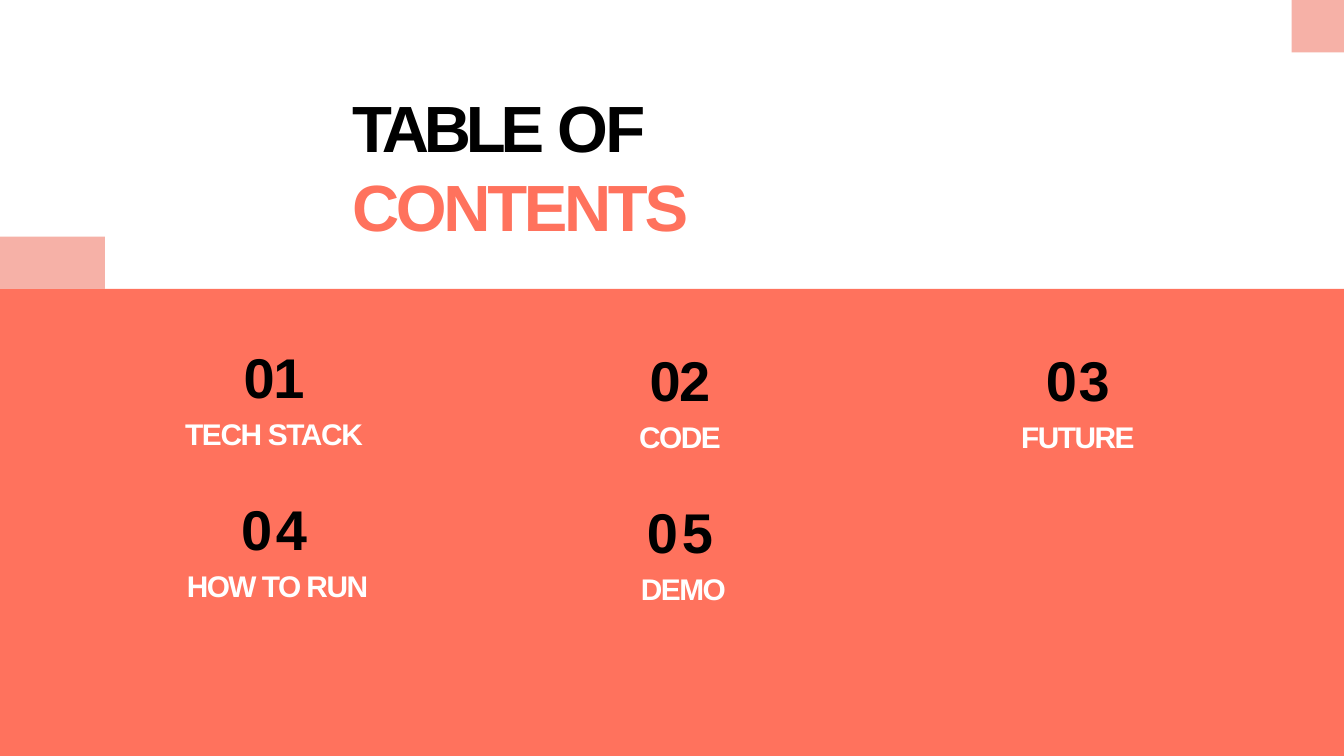
import pptx
import pptx.util
import pptx.dml.color
import pptx.enum.shapes
import pptx.enum.text

Inches = pptx.util.Inches
Pt = pptx.util.Pt
RGBColor = pptx.dml.color.RGBColor

CORAL = RGBColor(0xFF, 0x72, 0x5D)
PINK = RGBColor(0xF6, 0xB1, 0xA7)
BLACK = RGBColor(0, 0, 0)
WHITE = RGBColor(0xFF, 0xFF, 0xFF)


def add_run(p, text, size, color, spacing):
    r = p.add_run()
    r.text = text
    r.font.name = "Arial"
    r.font.size = Pt(size)
    r.font.bold = True
    r.font.color.rgb = color
    r._r.get_or_add_rPr().set("spc", str(round(spacing * 100)))


def set_frame(tf, left, top, right):
    tf.word_wrap = True
    tf.auto_size = pptx.enum.text.MSO_AUTO_SIZE.NONE
    tf.vertical_anchor = pptx.enum.text.MSO_ANCHOR.TOP
    tf.margin_left = Inches(left)
    tf.margin_top = Inches(top)
    tf.margin_right = Inches(right)
    tf.margin_bottom = 0


prs = pptx.Presentation()
prs.slide_width = Inches(10)
prs.slide_height = Inches(10 * 9 / 16)
s = prs.slides.add_slide(prs.slide_layouts[5])

blocks = [
    (0, 2.15, 10, 3.69, CORAL),
    (9.61, 0, 0.39, 0.39, PINK),
    (0, 1.76, 0.78, 0.39, PINK),
]
for x, y, w, h, color in blocks:
    sp = s.shapes.add_shape(
        pptx.enum.shapes.MSO_SHAPE.RECTANGLE,
        Inches(x), Inches(y), Inches(w), Inches(h))
    sp.shadow.inherit = False
    sp.fill.solid()
    sp.fill.fore_color.rgb = color
    sp.line.fill.background()

title = s.shapes.title
title.left, title.top = Inches(2.61), Inches(0.64)
title.width, title.height = Inches(4.78), Inches(0.61)
set_frame(title.text_frame, 0.01, 0.01, 1)
p = title.text_frame.paragraphs[0]
p.alignment = pptx.enum.text.PP_ALIGN.LEFT
p.space_before = Pt(1)
add_run(p, "TABLE ", 35, BLACK, -2.8)
add_run(p, "OF ", 35, BLACK, -1.5)
add_run(p, "CONTENTS", 35, CORAL, -1.8)

columns = [
    (1.31, 2.46, 2.05, [("01", -0.8, "TECH STACK", -0.7),
                        ("04", 2, " HOW TO RUN", -0.8)]),
    (4.33, 2.48, 2.05, [("02", -0.8, "CODE", -0.8),
                        ("05", 2, " DEMO", -0.8)]),
    (7.29, 2.48, 0.91, [("03", 0.9, "FUTURE", -0.8)]),
]
for x, y, h, entries in columns:
    box = s.shapes.add_textbox(Inches(x), Inches(y), Inches(1.46), Inches(h))
    tf = box.text_frame
    set_frame(tf, 0, 0.09, 0)
    for i, (number, number_spc, label, label_spc) in enumerate(entries):
        p = tf.add_paragraph() if i else tf.paragraphs[0]
        p.alignment = pptx.enum.text.PP_ALIGN.CENTER
        p.space_before = Pt(23.3 if i else 6.6)
        add_run(p, number, 30, BLACK, number_spc)
        p = tf.add_paragraph()
        p.alignment = pptx.enum.text.PP_ALIGN.CENTER
        p.space_before = Pt(3)
        add_run(p, label, 16, WHITE, label_spc)

prs.save("out.pptx")
